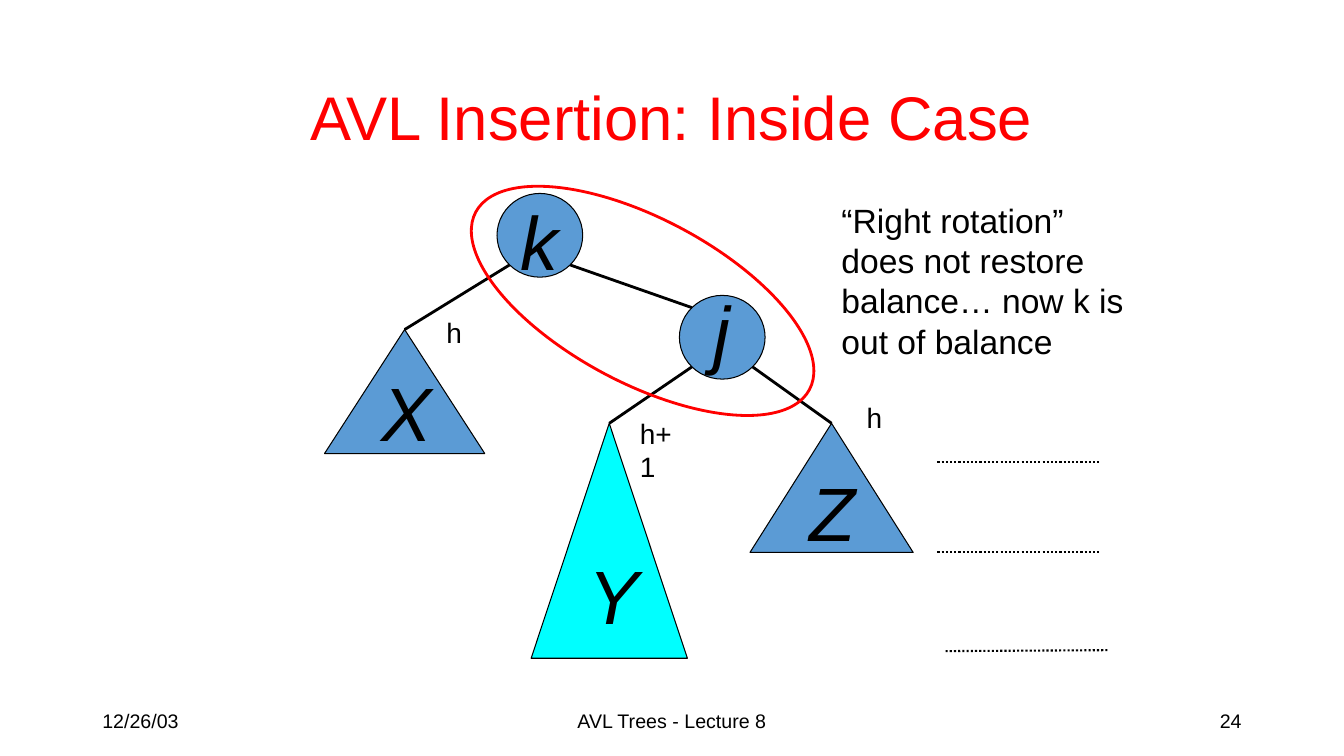
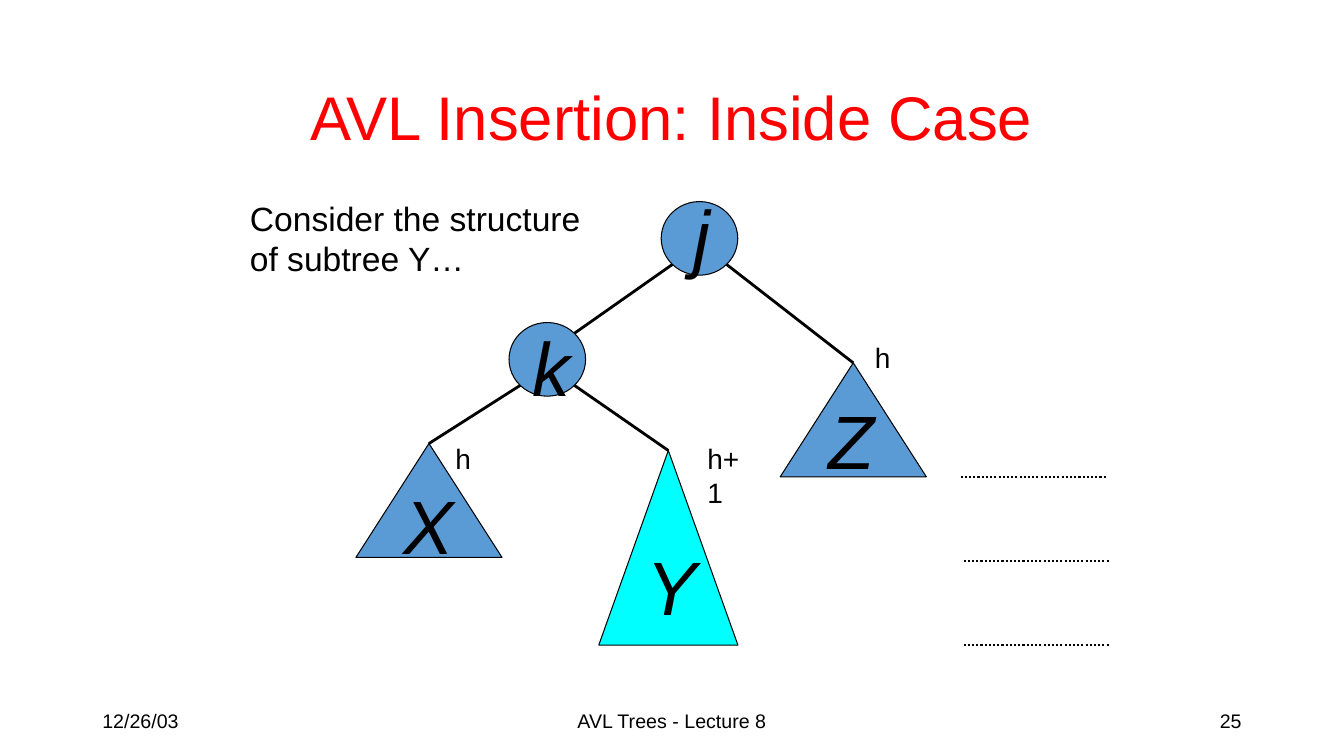
from math import sqrt

from lxml import etree
from pptx import Presentation
from pptx.dml.color import RGBColor
from pptx.enum.dml import MSO_LINE
from pptx.enum.shapes import MSO_CONNECTOR, MSO_SHAPE
from pptx.enum.text import MSO_ANCHOR, MSO_AUTO_SIZE, PP_ALIGN
from pptx.oxml.ns import qn
from pptx.util import Pt

STRAIGHT = MSO_CONNECTOR.STRAIGHT
ELLIPSE, TRIANGLE = MSO_SHAPE.OVAL, MSO_SHAPE.ISOSCELES_TRIANGLE
LEFT, CENTER, RIGHT = PP_ALIGN.LEFT, PP_ALIGN.CENTER, PP_ALIGN.RIGHT
TOP, MIDDLE = MSO_ANCHOR.TOP, MSO_ANCHOR.MIDDLE
DOTTED = MSO_LINE.ROUND_DOT
FIT_SHAPE = MSO_AUTO_SIZE.SHAPE_TO_FIT_TEXT
TRIANGLE_APEX = 0

FONT = "Arial"
COLORS = {"ink": "000000", "accent": "FF0000", "node": "5B9BD5", "grown": "00FFFF"}
TITLE = "AVL Insertion: Inside Case"
TITLE_BOX = (172, 51, 615.6, 63.4)
DATE, LECTURE = "12/26/03", "AVL Trees - Lecture 8"
FOOTER_TOP, FOOTER_HEIGHT = 500.4, 28.8
LETTER_HEIGHT, LABEL_HEIGHT = 72, 31
CORNER_INSET = (1 - sqrt(0.5)) / 2

SLIDES = [
    {
        "number": "24",
        "note": ["“Right rotation”", "does not restore", "balance… now k is", "out of balance"],
        "note_box": (594, 139, 218.2, 123.8),
        "node_size": (61.2, 59.8),
        "letter_width": 37.4,
        "nodes": {"k": (355, 138.2), "j": (485.3, 211)},
        "subtrees": {
            "X": (231.8, 235.4, 114.5, 88.6),
            "Y": (379.4, 302.4, 111.6, 167.8),
            "Z": (535.7, 302.4, 116.6, 92.2),
        },
        "letters": {
            "j": (502.6, 195.8), "k": (365, 131), "X": (265.7, 253.4),
            "Y": (413.3, 383.8), "Z": (571, 324.7),
        },
        "edges": [("k", "left", "X"), ("k", "right", "j"),
                  ("j", "left", "Y"), ("j", "right", "Z")],
        "heights": [("h", 311.8, 221.8, 26), ("h+1", 450, 293.8, 48), ("h", 612, 282.2, 26)],
        "level_width": 116.6,
        "levels": [(669.6, 329.8, 329.8), (669.6, 394.6, 394.6), (675.4, 465.1, 464.4)],
        "ring": (324, 156.2, 270, 117.4),
    },
    {
        "number": "25",
        "note": ["Consider the structure", "of subtree Y…"],
        "note_box": (171.4, 137.5, 253.4, 65.5),
        "node_size": (54.7, 52.6),
        "letter_width": 33.5,
        "nodes": {"j": (472.3, 144), "k": (363.6, 230.4)},
        "subtrees": {
            "X": (254.2, 316.8, 104.4, 81.4),
            "Y": (427.7, 321.8, 99.4, 139),
            "Z": (557.3, 259.2, 104.4, 81.4),
        },
        "letters": {
            "j": (488.2, 126.7), "k": (373, 221), "X": (281.5, 334.1),
            "Y": (455, 378), "Z": (584.6, 273.6),
        },
        "edges": [("j", "left", "k"), ("j", "right", "Z"),
                  ("k", "left", "X"), ("k", "right", "Y")],
        "heights": [("h", 318.2, 311.8, 26), ("h+1", 498.2, 311.8, 48), ("h", 617.8, 239.8, 26)],
        "level_width": 104.4,
        "levels": [(686.2, 340.6, 340.6), (688.3, 401, 401), (688.3, 460.8, 460.8)],
        "ring": None,
    },
]


def color(name):
    return RGBColor.from_string(COLORS[name])


def add_text(slide, lines, box, size, ink="ink", align=LEFT, anchor=TOP,
             italic=False, wrap=True, margin_top=3.6):
    shape = slide.shapes.add_textbox(*map(Pt, box))
    frame = shape.text_frame
    frame.word_wrap = wrap
    if not wrap:
        frame.auto_size = FIT_SHAPE
    frame.vertical_anchor = anchor
    frame.margin_top = Pt(margin_top)
    for index, line in enumerate(lines):
        paragraph = frame.add_paragraph() if index else frame.paragraphs[0]
        paragraph.alignment = align
        paragraph.text = line
        font = paragraph.font
        font.name, font.size, font.italic = FONT, Pt(size), italic
        font.color.rgb = color(ink)


def add_outline(slide, kind, box, fill=None, line="ink", width=0.75, rotation=0):
    shape = slide.shapes.add_shape(kind, *map(Pt, box))
    shape.shadow.inherit = False
    shape.rotation = rotation
    if fill:
        shape.fill.solid()
        shape.fill.fore_color.rgb = color(fill)
    else:
        shape.fill.background()
    shape.line.color.rgb = color(line)
    shape.line.width = Pt(width)
    return shape


def add_line(slide, start, end, width, dash=None):
    connector = slide.shapes.add_connector(STRAIGHT, *map(Pt, (*start, *end)))
    connector.line.color.rgb = color("ink")
    connector.line.width = Pt(width)
    if dash:
        connector.line.dash_style = dash
    etree.SubElement(connector._element.spPr, qn("a:effectLst"))
    return connector


def node_corner(position, size, side, lower):
    across = CORNER_INSET if side == "left" else 1 - CORNER_INSET
    down = 1 - CORNER_INSET if lower else CORNER_INSET
    return position[0] + size[0] * across, position[1] + size[1] * down


def add_frame(slide, number):
    add_text(slide, [TITLE], TITLE_BOX, 44, ink="accent", align=CENTER, anchor=MIDDLE)
    footers = [(DATE, 66, 216, LEFT), (LECTURE, 318, 324, CENTER), (number, 678, 216, RIGHT)]
    for text, left, width, align in footers:
        add_text(slide, [text], (left, FOOTER_TOP, width, FOOTER_HEIGHT), 14,
                 align=align, anchor=MIDDLE)


def add_tree(slide, content):
    nodes, size = content["nodes"], content["node_size"]
    subtrees = {}
    for name, box in content["subtrees"].items():
        fill = "grown" if name == "Y" else "node"
        subtrees[name] = add_outline(slide, TRIANGLE, box, fill)
    for position in nodes.values():
        add_outline(slide, ELLIPSE, (*position, *size), "node")
    for parent, side, child in content["edges"]:
        start = node_corner(nodes[parent], size, side, lower=True)
        if child in nodes:
            facing = "right" if side == "left" else "left"
            add_line(slide, start, node_corner(nodes[child], size, facing, lower=False), 2)
        else:
            add_line(slide, start, start, 2).end_connect(subtrees[child], TRIANGLE_APEX)
    for letter, position in content["letters"].items():
        add_text(slide, [letter], (*position, content["letter_width"], LETTER_HEIGHT), 54,
                 italic=True, margin_top=8)
    for label, left, top, width in content["heights"]:
        add_text(slide, [label], (left, top, width, LABEL_HEIGHT), 20, wrap=False)


def main():
    presentation = Presentation()
    presentation.slide_width, presentation.slide_height = Pt(960), Pt(540)
    for content in SLIDES:
        slide = presentation.slides.add_slide(presentation.slide_layouts[6])
        add_frame(slide, content["number"])
        add_tree(slide, content)
        for left, start, end in content["levels"]:
            add_line(slide, (left, start), (left + content["level_width"], end), 1.5, DOTTED)
        add_text(slide, content["note"], content["note_box"], 24, wrap=False)
        if content["ring"]:
            add_outline(slide, ELLIPSE, content["ring"], line="accent", width=2, rotation=28)
    presentation.save("out.pptx")


if __name__ == "__main__":
    main()
